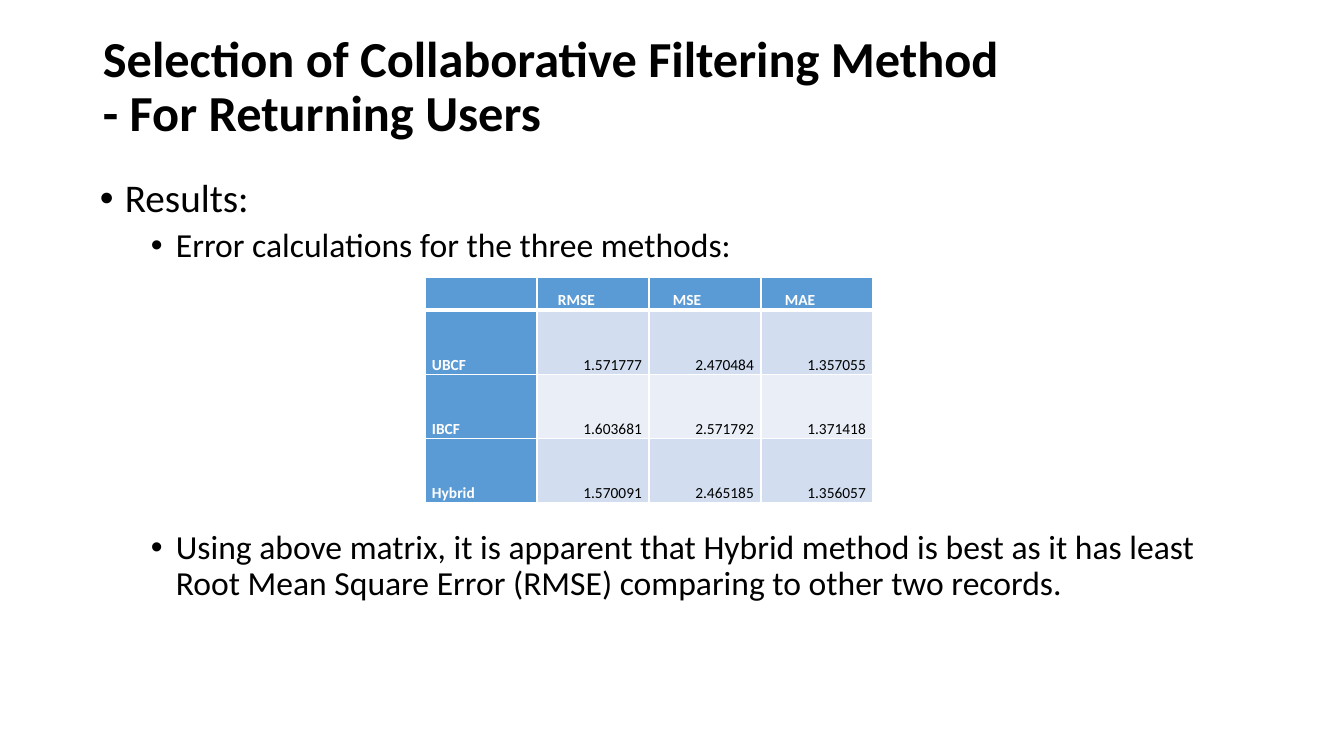
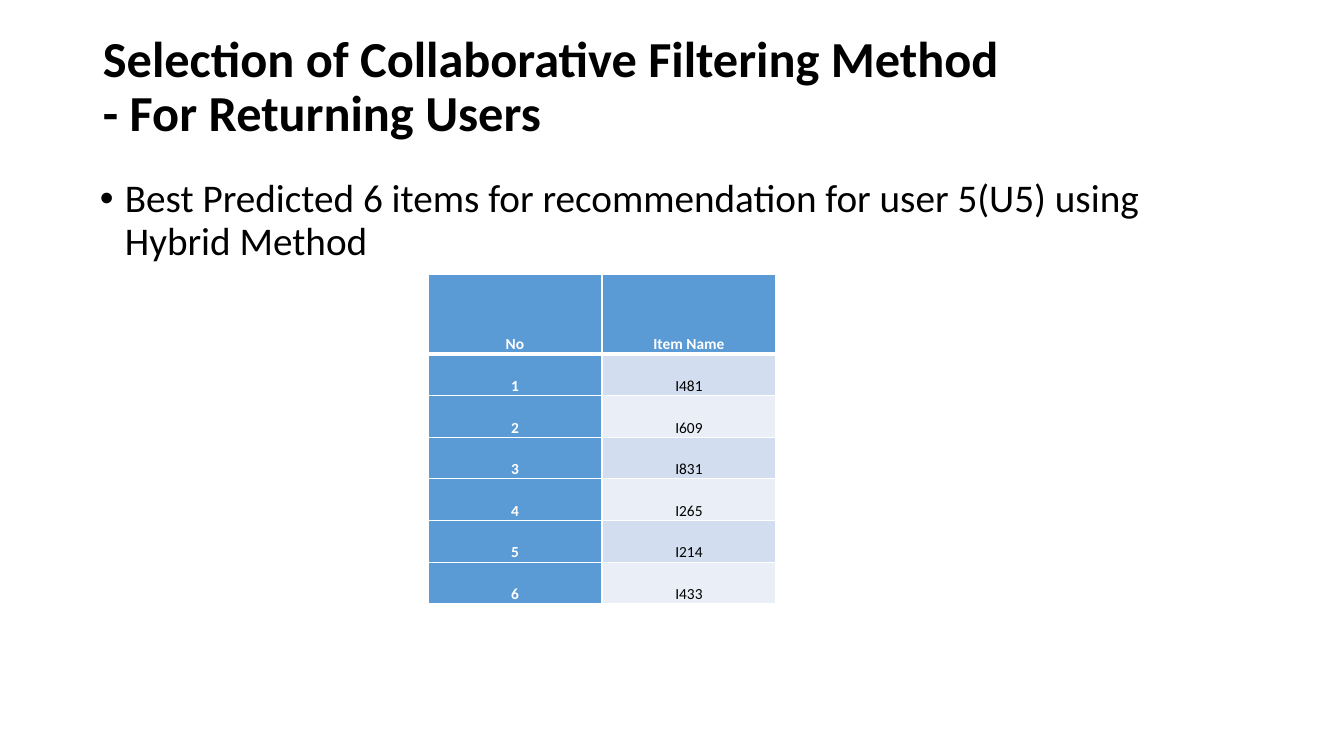
from lxml import etree
from pptx import Presentation
from pptx.dml.color import RGBColor
from pptx.enum.text import MSO_ANCHOR, PP_ALIGN
from pptx.oxml import ns
from pptx.util import Emu, Pt

FONT = "Calibri"
BLACK = RGBColor(0x00, 0x00, 0x00)
WHITE = RGBColor(0xFF, 0xFF, 0xFF)
BLUE = RGBColor(0x5B, 0x9B, 0xD5)
BANDS = RGBColor(0xD2, 0xDE, 0xEF), RGBColor(0xEA, 0xEF, 0xF7)

TITLE = "Selection of Collaborative Filtering Method\v- For Returning Users"
TITLE_BOX = 93, 34, 1159, 121
BODY_BOX = 90, 174, 1159, 480
LEVELS = [  # text size in pt, left margin in px
    (28, 25),
    (24, 76),
]
HANG = 25
CELL_PAD = 7
TABLE_GAP = 190  # pt left free for the table between two bullets

# bullets: (level, space before in pt, text)
SLIDES = [
    {
        "bullets": [
            (0, 0, "Results:"),
            (1, 5, "Error calculations for the three methods:"),
            (1, TABLE_GAP, "Using above matrix, it is apparent that Hybrid method is best as it "
             "has least Root Mean Square Error (RMSE) comparing to other two records."),
        ],
        "rows": [
            ("", "RMSE", "MSE", "MAE"),
            ("UBCF", "1.571777", "2.470484", "1.357055"),
            ("IBCF", "1.603681", "2.571792", "1.371418"),
            ("Hybrid", "1.570091", "2.465185", "1.356057"),
        ],
        "box": (425, 277, 448, 226),
        "header_height": 33,
        "label_align": PP_ALIGN.LEFT,
        "value_align": PP_ALIGN.RIGHT,
        "header_indents": (0, 14, 17, 17),
    },
    {
        "bullets": [
            (0, 0, "Best Predicted 6 items for recommendation for user 5(U5) "
             "using Hybrid Method"),
        ],
        "rows": [
            ("No", "Item Name"),
            ("1", "I481"),
            ("2", "I609"),
            ("3", "I831"),
            ("4", "I265"),
            ("5", "I214"),
            ("6", "I433"),
        ],
        "box": (428, 274, 348, 330),
        "header_height": 80,
        "label_align": PP_ALIGN.CENTER,
        "value_align": PP_ALIGN.CENTER,
        "header_indents": (0, 0),
    },
]


def px(n):
    return Emu(round(n * 914400 / 100.8))


def style(p, size, color, bold=False):
    for r in p.runs:
        r.font.name = FONT
        r.font.size = Pt(size)
        r.font.bold = bold
        r.font.color.rgb = color


def add_text_frame(s, box):
    tf = s.shapes.add_textbox(*map(px, box)).text_frame
    tf.word_wrap = True
    return tf


def add_title(s):
    tf = add_text_frame(s, TITLE_BOX)
    tf.margin_top = tf.margin_bottom = 0
    tf.text = TITLE
    p = tf.paragraphs[0]
    p.line_spacing = 0.9
    style(p, 36, BLACK, bold=True)


def add_bullets(s, bullets):
    tf = add_text_frame(s, BODY_BOX)
    for i, (level, before, words) in enumerate(bullets):
        p = tf.add_paragraph() if i else tf.paragraphs[0]
        size, margin = LEVELS[level]
        p.text = words
        p.level = level
        p.line_spacing = 0.9
        p.space_before = Pt(before)
        pPr = p._p.get_or_add_pPr()
        pPr.set("marL", str(px(margin)))
        pPr.set("indent", str(-px(HANG)))
        etree.SubElement(pPr, ns.qn("a:buFont"), typeface="Arial")
        etree.SubElement(pPr, ns.qn("a:buChar"), char="•")
        style(p, size, BLACK)


def set_borders(cell, top, bottom):
    """White cell borders; top and bottom widths in pt, sides 1 pt."""
    tcPr = cell._tc.get_or_add_tcPr()
    for side, width in (("L", 1), ("R", 1), ("T", top), ("B", bottom)):
        ln = etree.SubElement(tcPr, ns.qn("a:ln" + side), w=str(Pt(width)))
        fill = etree.SubElement(ln, ns.qn("a:solidFill"))
        etree.SubElement(fill, ns.qn("a:srgbClr"), val=str(WHITE))


def add_data_table(s, spec):
    rows = spec["rows"]
    header_height = spec["header_height"]
    row_height = (spec["box"][3] - header_height) / (len(rows) - 1)
    table = s.shapes.add_table(len(rows), len(rows[0]), *map(px, spec["box"])).table
    for i, row in enumerate(rows):
        table.rows[i].height = px(row_height if i else header_height)
        for j, words in enumerate(row):
            cell = table.cell(i, j)
            is_label = i == 0 or j == 0
            indent = 0 if i else spec["header_indents"][j]
            set_borders(cell, 3 if i == 1 else 1, 1 if i else 3)
            cell.fill.solid()
            cell.fill.fore_color.rgb = BLUE if is_label else BANDS[(i - 1) % 2]
            cell.vertical_anchor = MSO_ANCHOR.BOTTOM
            cell.margin_left, cell.margin_right = px(CELL_PAD + indent), px(CELL_PAD)
            cell.margin_top = cell.margin_bottom = 0
            cell.text = words
            p = cell.text_frame.paragraphs[0]
            p.alignment = spec["label_align" if is_label else "value_align"]
            p.line_spacing = 1.07
            style(p, 11, WHITE if is_label else BLACK, bold=is_label)


def main():
    prs = Presentation()
    prs.slide_width, prs.slide_height = px(1344), px(756)
    for content in SLIDES:
        s = prs.slides.add_slide(prs.slide_layouts[6])
        add_title(s)
        add_bullets(s, content["bullets"])
        add_data_table(s, content)
    prs.save("out.pptx")


if __name__ == "__main__":
    main()
